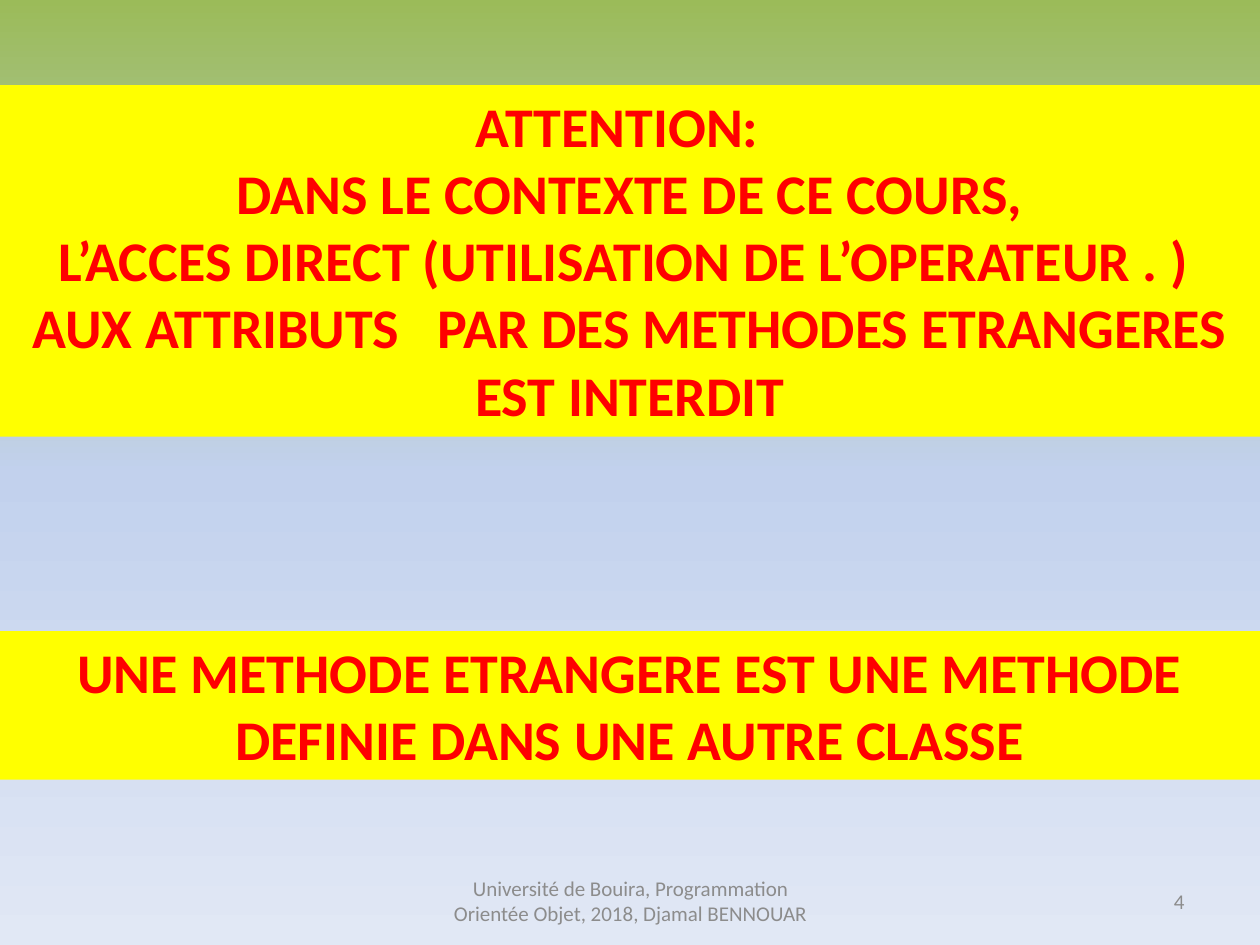
from copy import deepcopy

from pptx import Presentation
from pptx import util as u
from pptx.dml.color import RGBColor
from pptx.enum import shapes, text

HUES = {"green": "9BBB59", "sky": "C2D1ED", "pale": "E1E8F5",
        "band": "FFFF00", "alert": "FF0000", "note": "8C8C8C"}


def hue(name):
    return RGBColor.from_string(HUES[name])


def write(frame, lines, size=12, color="note", bold=False, align="CENTER", anchor="MIDDLE"):
    frame.word_wrap = True
    frame.vertical_anchor = getattr(text.MSO_ANCHOR, anchor)
    for i, line in enumerate(lines):
        para = frame.paragraphs[0] if i == 0 else frame.add_paragraph()
        para.alignment = getattr(text.PP_ALIGN, align)
        run = para.add_run()
        run.text = line
        font = run.font
        font.name, font.size, font.bold = "Calibri", u.Pt(size), bold
        font.color.rgb = hue(color)


class Page:
    def __init__(self, deck):
        self.wide, self.high = deck.slide_width, deck.slide_height
        self.slide = deck.slides.add_slide(deck.slide_layouts[6])

    def box(self, x, y, w, h):
        return [round(n) for n in (x * self.wide, y * self.high, w * self.wide, h * self.high)]

    def fade(self, stops):
        fill = self.slide.background.fill
        fill.gradient()
        fill.gradient_angle = 270
        ramp = self.slide.element.xpath(".//a:gsLst")[0]
        while len(ramp) < len(stops):
            ramp.append(deepcopy(ramp[0]))
        for stop, (place, name) in zip(fill.gradient_stops, stops):
            stop.position = place
            stop.color.rgb = hue(name)

    def band(self, y, h, lines):
        rect = self.slide.shapes.add_shape(shapes.MSO_SHAPE.RECTANGLE, *self.box(0, y, 1, h))
        rect.shadow.inherit = False
        rect.fill.solid()
        rect.fill.fore_color.rgb = hue("band")
        rect.line.fill.background()
        write(rect.text_frame, lines, size=32, color="alert", bold=True, anchor="TOP")
        rect.text_frame.auto_size = text.MSO_AUTO_SIZE.SHAPE_TO_FIT_TEXT

    def foot(self, x, w, line, align="CENTER"):
        area = self.slide.shapes.add_textbox(*self.box(x, 0.927, w, 0.053))
        write(area.text_frame, [line], align=align)


deck = Presentation()
deck.slide_width, deck.slide_height = u.Inches(10), u.Inches(7.5)
page = Page(deck)
page.fade([(0, "green"), (0.5, "sky"), (1, "pale")])
page.foot(0.342, 0.317, "Université de Bouira, Programmation Orientée Objet, 2018, Djamal BENNOUAR")
page.foot(0.717, 0.233, "4", align="RIGHT")
page.band(0.09, 0.372, [
    "ATTENTION:  ",
    "DANS LE CONTEXTE DE CE COURS,",
    "L’ACCES DIRECT (UTILISATION DE L’OPERATEUR . ) ",
    "AUX ATTRIBUTS   PAR DES METHODES ETRANGERES",
    "EST INTERDIT",
])
page.band(0.668, 0.157, ["UNE METHODE ETRANGERE EST UNE METHODE DEFINIE DANS UNE AUTRE CLASSE"])
deck.save("out.pptx")
